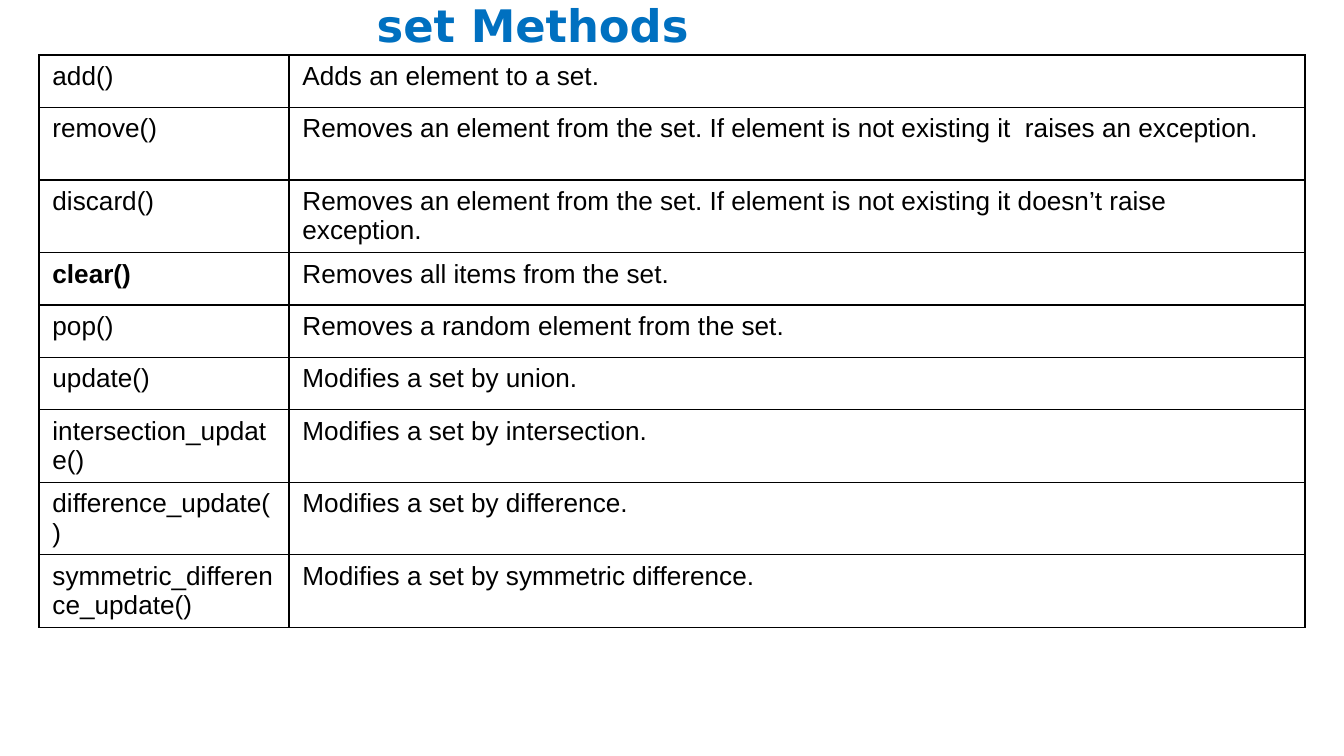
"""Build a slide with a table of Python set methods."""
from lxml import etree
from pptx import Presentation
from pptx import util as u
from pptx.dml.color import RGBColor
from pptx.enum import text
from pptx.oxml import ns

TITLE = " set Methods"
METHODS = [
    ("add()", "Adds an element to a set."),
    ("remove()", "Removes an element from the set. If element is not existing it  raises an exception."),
    ("discard()", "Removes an element from the set. If element is not existing it doesn’t raise exception."),
    ("clear()", "Removes all items from the set."),
    ("pop()", "Removes a random element from the set."),
    ("update()", "Modifies a set by union."),
    ("intersection_update()", "Modifies a set by intersection."),
    ("difference_update()", "Modifies a set by difference."),
    ("symmetric_difference_update()", "Modifies a set by symmetric difference."),
]
BOLD = {"clear()"}
TALL = {"remove()", "discard()", "intersection_update()", "difference_update()",
        "symmetric_difference_update()"}
SLIDE_W = u.Inches(10)
SLIDE_H = SLIDE_W * 9 // 16
ROW_H, TALL_H = 0.39, 0.54
COL_W = (1.86, 7.56)
BLUE = RGBColor(0x00, 0x70, 0xC0)
BLACK = RGBColor(0x00, 0x00, 0x00)
TITLE_FONT = {"name": "DejaVu Sans", "size": u.Pt(24), "bold": True}
CELL_FONT = {"name": "Arial", "size": u.Pt(14)}


def set_attrs(obj, values):
    for name, value in values.items():
        setattr(obj, name, value)


def write(p, content, font, color, **extra):
    r = p.add_run()
    r.text = content
    set_attrs(r.font, {**font, **extra})
    r.font.color.rgb = color


def add_borders(cell):
    tc_pr = cell._tc.get_or_add_tcPr()
    for side in "LRTB":
        ln = etree.SubElement(tc_pr, ns.qn(f"a:ln{side}"), w=str(u.Pt(0.75)))
        fill = etree.SubElement(ln, ns.qn("a:solidFill"))
        etree.SubElement(fill, ns.qn("a:srgbClr"), val=str(BLACK))


def add_title(s):
    sp = s.shapes.title
    set_attrs(sp, {"left": u.Inches(0.27), "top": u.Inches(-0.11),
                   "width": u.Inches(7.27), "height": u.Inches(0.19)})
    tf = sp.text_frame
    margins = {f"margin_{side}": u.Inches(0.1) for side in ("left", "top", "right", "bottom")}
    set_attrs(tf, {"word_wrap": True, "auto_size": text.MSO_AUTO_SIZE.NONE,
                   "vertical_anchor": text.MSO_ANCHOR.TOP, **margins})
    p = tf.paragraphs[0]
    set_attrs(p, {"alignment": text.PP_ALIGN.CENTER, "line_spacing": 1.0})
    write(p, TITLE, TITLE_FONT, BLUE)


def add_methods(s):
    heights = [TALL_H if name in TALL else ROW_H for name, _ in METHODS]
    table = s.shapes.add_table(len(METHODS), len(COL_W), u.Inches(0.29), u.Inches(0.41),
                               u.Inches(sum(COL_W)), u.Inches(sum(heights))).table
    set_attrs(table, {"first_row": False, "horz_banding": False})
    for col, width in zip(table.columns, COL_W):
        col.width = u.Inches(width)
    for row, height, values in zip(table.rows, heights, METHODS):
        row.height = u.Inches(height)
        for cell, value in zip(row.cells, values):
            add_borders(cell)
            cell.fill.background()
            write(cell.text_frame.paragraphs[0], value, CELL_FONT, BLACK, bold=value in BOLD)


def main():
    prs = Presentation()
    set_attrs(prs, {"slide_width": SLIDE_W, "slide_height": SLIDE_H})
    s = prs.slides.add_slide(prs.slide_layouts[5])
    add_title(s)
    add_methods(s)
    prs.save("out.pptx")


if __name__ == "__main__":
    main()
